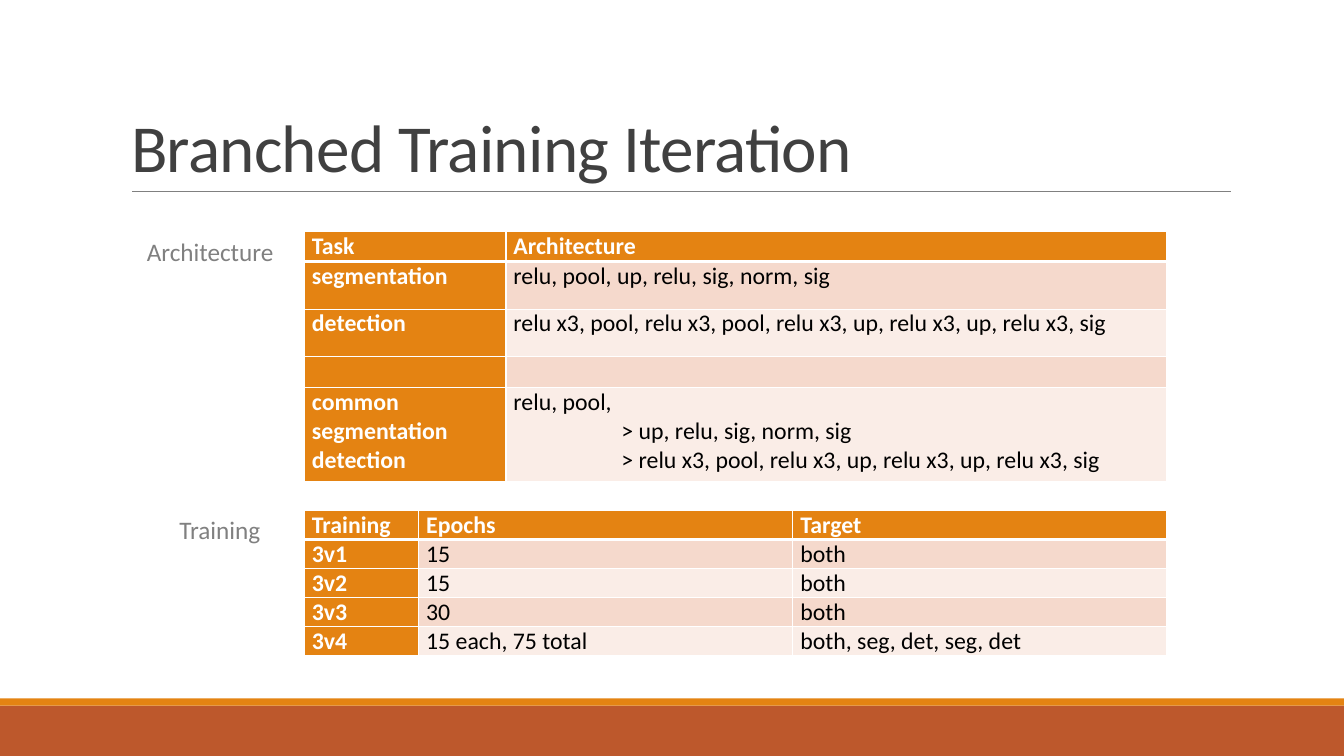
from lxml import etree
from pptx import Presentation, util as u
from pptx.dml import color
from pptx.enum import shapes, text
from pptx.oxml import ns

ORANGE, RUST, WHITE, GREY = "E48312", "BD582C", "FFFFFF", "808080"
BANDS = ["F5D9CC", "FAEDE7"]


def rgb(value):
    return color.RGBColor.from_string(value)


def format_text(frame, size, value, bold=False):
    for paragraph in frame.paragraphs:
        for run in paragraph.runs:
            run.font.name = "Calibri"
            run.font.size = u.Pt(size)
            run.font.bold = bold
            run.font.color.rgb = rgb(value)


presentation = Presentation()
presentation.slide_width = u.Cm(33.87)
presentation.slide_height = u.Cm(19.05)
slide = presentation.slides.add_slide(presentation.slide_layouts[5])

# Footer bands
for top, height, fill in [(17.78, 1.27, RUST), (17.6, 0.18, ORANGE)]:
    band = slide.shapes.add_shape(shapes.MSO_SHAPE.RECTANGLE, 0, u.Cm(top),
                                  presentation.slide_width, u.Cm(height))
    band.shadow.inherit = False
    band.fill.solid()
    band.fill.fore_color.rgb = rgb(fill)
    band.line.fill.background()

# Title and its rule
title = slide.shapes.title
title.left, title.top, title.width, title.height = u.Cm(3.05), u.Cm(0.79), u.Cm(27.94), u.Cm(4.04)
title.text_frame.text = "Branched Training Iteration"
title.text_frame.vertical_anchor = text.MSO_ANCHOR.BOTTOM
heading = title.text_frame.paragraphs[0]
heading.alignment = text.PP_ALIGN.LEFT
heading.line_spacing = 0.85
format_text(title.text_frame, 48, "404040")
heading.runs[0].font._element.set("spc", "-50")

rule = slide.shapes.add_connector(shapes.MSO_CONNECTOR.STRAIGHT,
                                  u.Cm(3.33), u.Cm(4.83), u.Cm(31.01), u.Cm(4.83))
rule.line.color.rgb = rgb(GREY)
rule.line.width = u.Pt(0.5)
etree.SubElement(rule._element.spPr, ns.qn("a:effectLst"))

# Tables: top, column widths, row heights, rows of text
tables = [
    (5.83, [5.08, 16.66], [0.76, 1.2, 1.2, 0.76, 2.38], [
        ["Task", "Architecture"],
        ["segmentation", "relu, pool, up, relu, sig, norm, sig"],
        ["detection", "relu x3, pool, relu x3, pool, relu x3, up, relu x3, up, relu x3, sig"],
        ["", ""],
        ["common\nsegmentation\ndetection",
         "relu, pool,\n> up, relu, sig, norm, sig\n"
         "> relu x3, pool, relu x3, up, relu x3, up, relu x3, sig"],
    ]),
    (12.86, [2.88, 9.43, 9.43], [0.72] * 5, [
        ["Training", "Epochs", "Target"],
        ["3v1", "15", "both"],
        ["3v2", "15", "both"],
        ["3v3", "30", "both"],
        ["3v4", "15 each, 75 total", "both, seg, det, seg, det"],
    ]),
]
for top, widths, heights, rows in tables:
    table = slide.shapes.add_table(len(rows), len(widths), u.Cm(7.67), u.Cm(top),
                                   u.Cm(sum(widths)), u.Cm(sum(heights))).table
    for column, width in zip(table.columns, widths):
        column.width = u.Cm(width)
    for r, (height, row) in enumerate(zip(heights, rows)):
        table.rows[r].height = u.Cm(height)
        for c, words in enumerate(row):
            cell = table.cell(r, c)
            cell.margin_left = cell.margin_right = u.Cm(0.19)
            cell.margin_top = cell.margin_bottom = 0
            is_header = r == 0 or c == 0

            # White borders, thicker under the header row
            for side in ["lnL", "lnR", "lnT", "lnB"]:
                thick = (r, side) in [(0, "lnB"), (1, "lnT")]
                border = etree.SubElement(cell._tc.get_or_add_tcPr(), ns.qn("a:" + side),
                                          w=str(u.Pt(3 if thick else 1)))
                fill = etree.SubElement(border, ns.qn("a:solidFill"))
                etree.SubElement(fill, ns.qn("a:srgbClr"), val=WHITE)
            cell.fill.solid()
            cell.fill.fore_color.rgb = rgb(ORANGE if is_header else BANDS[(r - 1) % 2])

            # Text, with the branches indented
            cell.text_frame.text = words
            format_text(cell.text_frame, 17, WHITE if is_header else "000000", is_header)
            for paragraph in cell.text_frame.paragraphs:
                if paragraph.text.startswith(">"):
                    paragraph._p.get_or_add_pPr().set("marL", str(u.Cm(2.72)))

# Table labels
for words, left, top, width in [("Architecture", 3.45, 5.82, 4.22), ("Training", 4.27, 12.83, 3.71)]:
    label = slide.shapes.add_textbox(u.Cm(left), u.Cm(top), u.Cm(width), u.Cm(1.02))
    label.text_frame.word_wrap = True
    label.text_frame.text = words
    format_text(label.text_frame, 18, GREY)

presentation.save("out.pptx")
